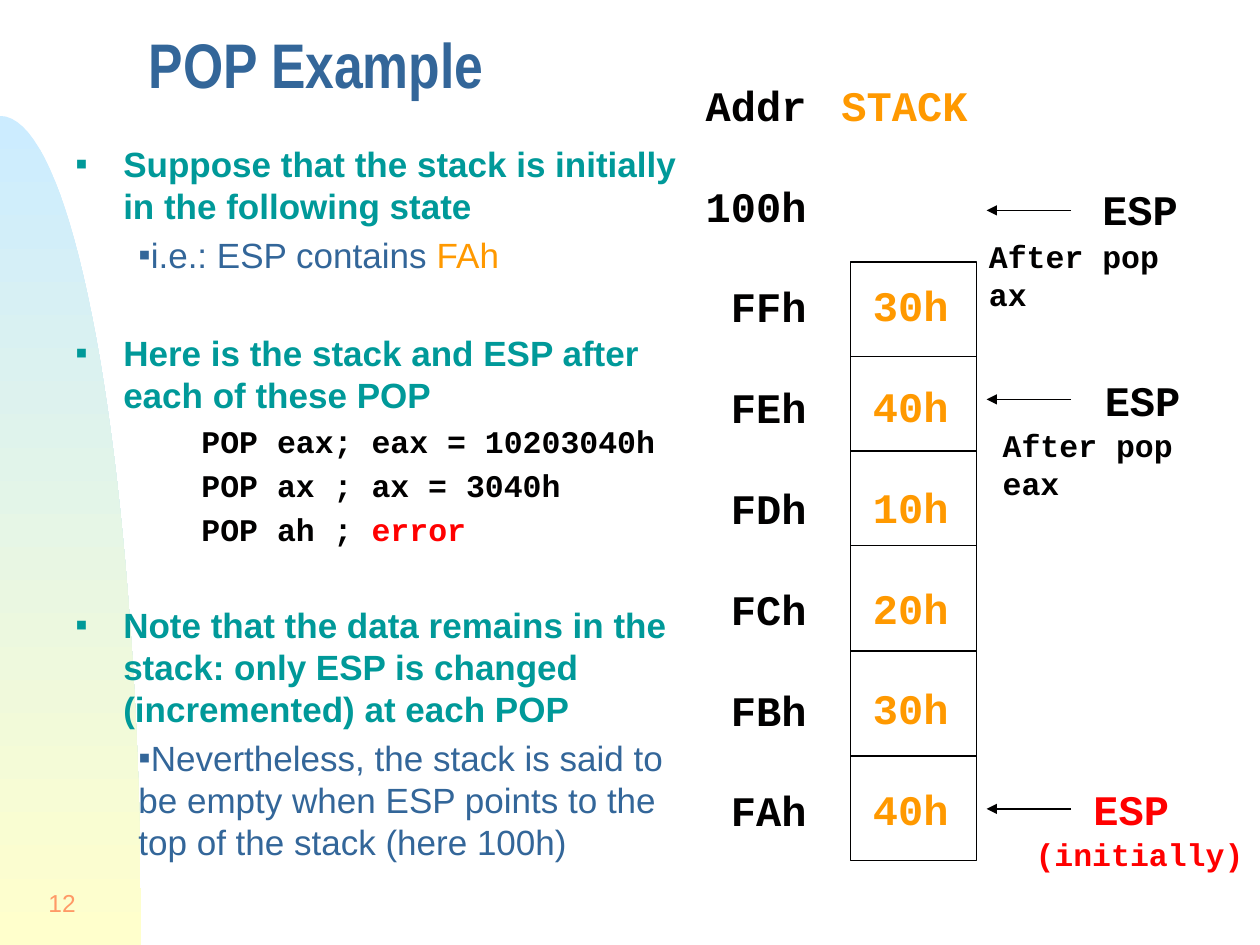
"""Build the POP Example slide showing how ESP moves through the stack."""
from dataclasses import dataclass
from typing import NamedTuple, Optional

import pptx
import pptx.dml.color
import pptx.enum.shapes
import pptx.enum.text
import pptx.util
from lxml import etree
from pptx.oxml.ns import qn

Inches, Pt = pptx.util.Inches, pptx.util.Pt
ALIGN = pptx.enum.text.PP_ALIGN
ANCHOR = pptx.enum.text.MSO_ANCHOR


@dataclass(frozen=True)
class Theme:
    sans: str = "Arial"
    narrow: str = "Arial Narrow"
    mono: str = "Courier New"
    blue: str = "336699"
    teal: str = "009999"
    amber: str = "FF9900"
    coral: str = "FF9966"
    black: str = "010000"
    red: str = "FF0000"
    sky: str = "CCECFF"
    cream: str = "FFFFCC"
    title: float = 36
    label: float = 24
    body: float = 20
    code: float = 18
    number: float = 14
    leading: float = 1.2


T = Theme()


class Style(NamedTuple):
    name: str
    size: float
    color: str
    bold: bool = True


class Level(NamedTuple):
    style: Style
    margin: float
    indent: float = 0
    bullet: bool = False


class Item(NamedTuple):
    level: Level
    text: str
    accent: str = ""
    accent_color: str = T.red
    new_block: bool = False


class Label(NamedTuple):
    left: float
    top: float
    width: float
    height: float
    lines: tuple
    style: Style
    wrap: bool = False
    align: Optional[ALIGN] = ALIGN.LEFT


LABEL = Style(T.mono, T.label, T.black)
STACK = LABEL._replace(color=T.amber)
CODE = Style(T.mono, T.code, T.black)
HEAD = Level(Style(T.sans, T.body, T.teal), 0.38, -0.38, True)
SUB = Level(Style(T.sans, T.body, T.blue, False), 0.5, 0, True)
POP = Level(CODE, 1)

ITEMS = (
    Item(HEAD, "Suppose that the stack is initially in the following state"),
    Item(SUB, "i.e.: ESP contains ", "FAh", T.amber),
    Item(HEAD, "Here is the stack and ESP after each of these POP", new_block=True),
    Item(POP, "POP eax; eax = 10203040h"),
    Item(POP, "POP ax ; ax = 3040h"),
    Item(POP, "POP ah ; ", "error"),
    Item(HEAD, "Note that the data remains in the stack: only ESP is changed "
         "(incremented) at each POP", new_block=True),
    Item(SUB, "Nevertheless, the stack is said to be empty when ESP points to "
         "the top of the stack (here 100h)"),
)

ADDRESSES = ("Addr", "100h", "FFh", "FEh", "FDh", "FCh", "FBh", "FAh")
VALUES = ("30h", "40h", "10h", "20h", "30h", "40h")
LABELS = (
    Label(0, 7, 0.7, 0.5, ("12",), Style(T.sans, T.number, T.coral, False), align=ALIGN.RIGHT),
    Label(5.5, 0.58, 1, 6.09, ADDRESSES, LABEL, align=ALIGN.RIGHT),
    Label(6.83, 2.17, 0.8, 4.49, VALUES, STACK),
    Label(6.58, 0.58, 1.2, 0.5, ("STACK",), STACK),
    Label(8.65, 1.41, 0.8, 0.5, ("ESP",), LABEL),
    Label(8.67, 2.92, 0.8, 0.5, ("ESP",), LABEL),
    Label(8.58, 6.17, 0.8, 0.5, ("ESP",), LABEL._replace(color=T.red)),
    Label(7.75, 1.83, 1.95, 0.4, ("After pop ax",), CODE, True),
    Label(7.86, 3.33, 2.1, 0.4, ("After pop eax",), CODE, True),
    Label(8.12, 6.58, 1.88, 0.4, ("(initially)",), CODE._replace(color=T.red), True),
)
ARROW_TOPS = (1.67, 3.17, 6.42)
CELL_EDGES = (2.08, 2.83, 3.58, 4.33, 5.17, 6, 6.83)


def rgb(color: str) -> pptx.dml.color.RGBColor:
    """Return the colour object for a hex string."""
    return pptx.dml.color.RGBColor.from_string(color)


def assign(obj, values: dict) -> None:
    """Set each named attribute on an object."""
    for name, value in values.items():
        setattr(obj, name, value)


def add_run(p, text: str, style: Style) -> None:
    """Append a styled run to a paragraph."""
    r = p.add_run()
    r.text = text
    assign(r.font, {"name": style.name, "size": Pt(style.size), "bold": style.bold})
    r.font.color.rgb = rgb(style.color)


def add_box(slide, left: float, top: float, width: float, height: float, wrap: bool):
    """Add a text box and return its text frame."""
    tf = slide.shapes.add_textbox(Inches(left), Inches(top), Inches(width), Inches(height)).text_frame
    tf.word_wrap = wrap
    return tf


def add_label(slide, label: Label) -> None:
    """Draw a label, leaving an empty line's height between its lines."""
    tf = add_box(slide, *label[:4], label.wrap)
    leading = Pt(label.style.size * T.leading)
    for i, text in enumerate(label.lines):
        p = tf.add_paragraph() if i else tf.paragraphs[0]
        assign(p, {"alignment": label.align, "line_spacing": leading,
                   "space_before": leading if i else Pt(0)})
        add_run(p, text, label.style)


def add_body(slide) -> None:
    """Draw the bulleted explanation."""
    tf = add_box(slide, 0.5, 1.08, 5.08, 6.17, True)
    for i, item in enumerate(ITEMS):
        p = tf.add_paragraph() if i else tf.paragraphs[0]
        level, style = item.level, item.level.style
        gap = 0.2 * style.size
        if item.new_block:
            gap += gap + style.size * T.leading
        assign(p, {"line_spacing": Pt(style.size * T.leading), "space_before": Pt(gap)})
        pPr = p._p.get_or_add_pPr()
        pPr.set("marL", str(Inches(level.margin)))
        pPr.set("indent", str(Inches(level.indent)))
        if level.bullet:
            clr = etree.SubElement(pPr, qn("a:buClr"))
            etree.SubElement(clr, qn("a:srgbClr"), val=style.color)
            etree.SubElement(pPr, qn("a:buFont"), typeface=T.sans)
            etree.SubElement(pPr, qn("a:buChar"), char="▪")
        add_run(p, item.text, style)
        if item.accent:
            add_run(p, item.accent, style._replace(color=item.accent_color))


def add_swoosh(slide) -> None:
    """Draw the curved gradient panel on the left edge."""
    curve = []
    for i in range(41):
        t = i / 40
        a, b, c, d = (1 - t) ** 3, 3 * t * (1 - t) ** 2, 3 * t * t * (1 - t), t ** 3
        curve.append((Inches(0.62 * b + 1.12 * (c + d)),
                      Inches(0.92 * (a + b) + 3.87 * c + 7.5 * d)))
    builder = slide.shapes.build_freeform(*curve[0])
    builder.add_line_segments(curve[1:] + [(0, Inches(7.5))], close=True)
    sp = builder.convert_to_shape()
    sp.shadow.inherit = False
    sp.line.fill.background()
    sp.fill.gradient()
    sp.fill.gradient_angle = 270
    for stop, color in zip(sp.fill.gradient_stops, (T.sky, T.cream)):
        stop.color.rgb = rgb(color)


def outline(sp) -> None:
    """Give a shape or connector a thin black line."""
    sp.line.color.rgb = rgb(T.black)
    sp.line.width = Pt(1)


def add_cell(slide, top: float, bottom: float) -> None:
    """Draw one stack cell."""
    sp = slide.shapes.add_shape(pptx.enum.shapes.MSO_SHAPE.RECTANGLE, Inches(6.75),
                                Inches(top), Inches(1), Inches(bottom - top))
    sp.shadow.inherit = False
    sp.fill.background()
    outline(sp)


def add_arrow(slide, top: float) -> None:
    """Draw one ESP pointer arrow."""
    sp = slide.shapes.add_connector(pptx.enum.shapes.MSO_CONNECTOR.STRAIGHT, Inches(8.5),
                                    Inches(top), Inches(7.83), Inches(top))
    outline(sp)
    etree.SubElement(sp.line._get_or_add_ln(), qn("a:tailEnd"), type="triangle", w="med", len="med")
    etree.SubElement(sp._element.spPr, qn("a:effectLst"))


def add_title(slide) -> None:
    """Place and format the title."""
    sp = slide.shapes.title
    assign(sp, {"left": Inches(1.08), "top": Inches(0.17), "width": Inches(8.62), "height": Inches(0.81)})
    tf = sp.text_frame
    assign(tf, {"vertical_anchor": ANCHOR.MIDDLE, "auto_size": pptx.enum.text.MSO_AUTO_SIZE.NONE})
    p = tf.paragraphs[0]
    assign(p, {"alignment": ALIGN.LEFT, "line_spacing": 0.7})
    add_run(p, "POP Example", Style(T.narrow, T.title, T.blue))


def main() -> None:
    """Build and save the slide."""
    prs = pptx.Presentation()
    assign(prs, {"slide_width": Inches(10), "slide_height": Inches(7.5)})
    slide = prs.slides.add_slide(prs.slide_layouts.get_by_name("Title Only"))
    add_swoosh(slide)
    add_title(slide)
    add_body(slide)
    for label in LABELS:
        add_label(slide, label)
    for top in ARROW_TOPS:
        add_arrow(slide, top)
    for top, bottom in zip(CELL_EDGES, CELL_EDGES[1:]):
        add_cell(slide, top, bottom)
    prs.save("out.pptx")


main()
